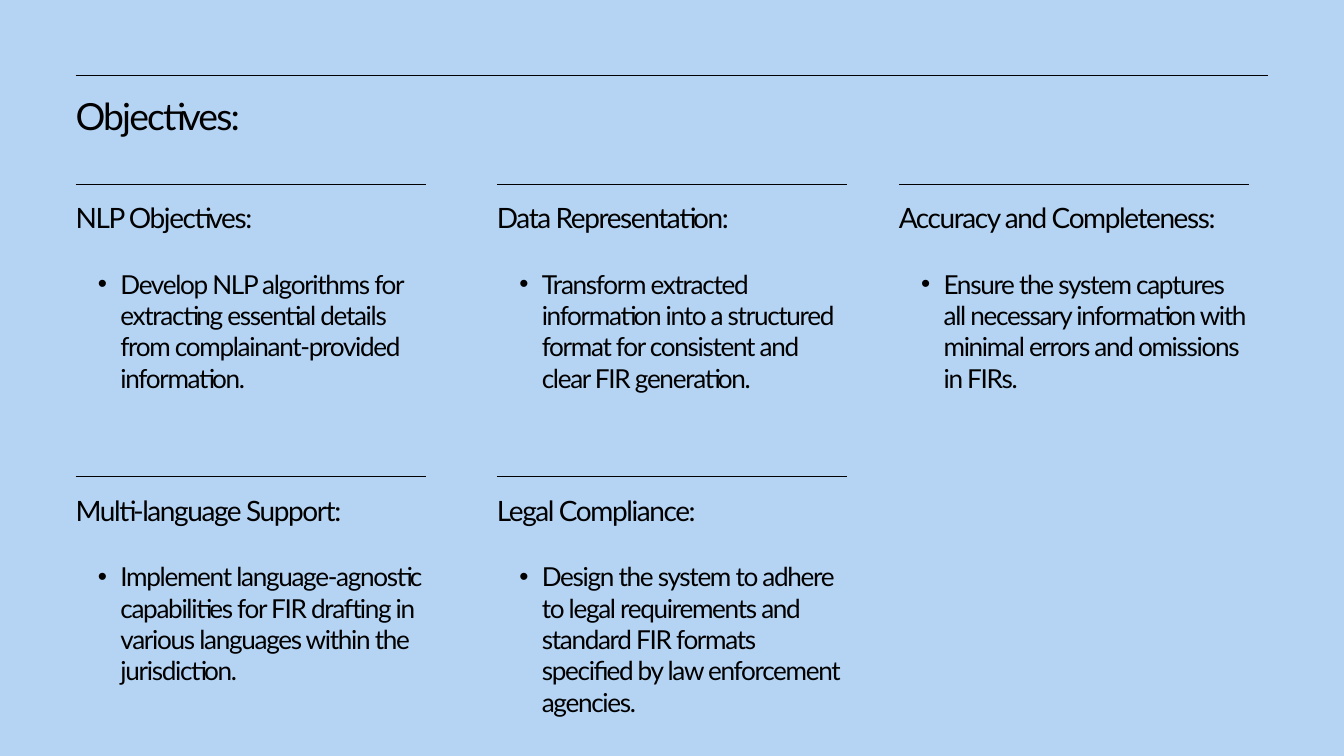
from lxml import etree
from pptx import Presentation
from pptx.dml.color import RGBColor
from pptx.enum.shapes import MSO_CONNECTOR
from pptx.oxml.ns import qn
from pptx.util import Emu, Pt

STRAIGHT = MSO_CONNECTOR.STRAIGHT
SKY = RGBColor(0xB5, 0xD4, 0xF4)
BLACK = RGBColor(0, 0, 0)
FONT = "Lato"

# Layout grid, in px
SLIDE_W, SLIDE_H = 1920, 1080
MARGIN = 108
COLUMNS = (MARGIN, 710, 1284)
ROWS = (263, 681)
CARD_W, CARD_H = 500, 351
RULE_GAP = 24
BULLET_INDENT, BULLET_HANG = 64, 32

# Column, row, heading, text
OBJECTIVES = [
    (0, 0, "NLP Objectives:",
     "Develop NLP algorithms for extracting essential details "
     "from complainant-provided information."),
    (0, 1, "Multi-language Support:",
     "Implement language-agnostic capabilities for FIR drafting "
     "in various languages within the jurisdiction."),
    (1, 0, "Data Representation:",
     "Transform extracted information into a structured format "
     "for consistent and clear FIR generation."),
    (1, 1, "Legal Compliance:",
     "Design the system to adhere to legal requirements and standard "
     "FIR formats specified by law enforcement agencies."),
    (2, 0, "Accuracy and Completeness:",
     "Ensure the system captures all necessary information "
     "with minimal errors and omissions in FIRs."),
]


def px(n):
    return Emu(n * 9525)


def add_rule(slide, left, top, width):
    rule = slide.shapes.add_connector(
        STRAIGHT, px(left), px(top), px(left + width), px(top))
    rule.line.color.rgb = BLACK
    rule.line.width = Pt(0.75)
    etree.SubElement(rule._element.spPr, qn("a:effectLst"))


def add_text_frame(slide, left, top, width, height):
    box = slide.shapes.add_textbox(px(left), px(top), px(width), px(height))
    frame = box.text_frame
    frame.word_wrap = True
    frame.margin_left = frame.margin_top = 0
    frame.margin_right = frame.margin_bottom = 0
    return frame


def write(paragraph, text, size, leading):
    """Fill a paragraph; letters are tightened by 5 % of the size."""
    paragraph.text = text
    paragraph.line_spacing = Pt(leading)
    paragraph.font.name = FONT
    paragraph.font.size = Pt(size)
    paragraph.font.color.rgb = BLACK
    defaults = paragraph._p.pPr.find(qn("a:defRPr"))
    defaults.set("spc", str(-size * 5))


def add_bullet(paragraph):
    props = paragraph._p.pPr
    props.set("marL", str(px(BULLET_INDENT)))
    props.set("indent", str(-px(BULLET_HANG)))
    defaults = props.find(qn("a:defRPr"))
    for tag, key, value in (("a:buFont", "typeface", "Arial"),
                            ("a:buChar", "char", "•")):
        mark = etree.Element(qn(tag))
        mark.set(key, value)
        defaults.addprevious(mark)


def add_title(slide, left, top, width):
    add_rule(slide, left, top, width)
    frame = add_text_frame(slide, left, top + 14, CARD_W, 81)
    write(frame.paragraphs[0], "Objectives:", 40, 56)


def add_objective(slide, left, top, width, height, heading, text):
    add_rule(slide, left, top, width)
    frame = add_text_frame(
        slide, left, top + RULE_GAP, width, height - RULE_GAP)
    write(frame.paragraphs[0], heading, 30, 36)
    detail = frame.add_paragraph()
    write(detail, text, 28, 33.6)
    detail.space_before = Pt(36)
    add_bullet(detail)


def main():
    deck = Presentation()
    deck.slide_width, deck.slide_height = px(SLIDE_W), px(SLIDE_H)
    slide = deck.slides.add_slide(deck.slide_layouts[6])
    slide.background.fill.solid()
    slide.background.fill.fore_color.rgb = SKY

    # Title under the full-width rule
    add_title(slide, MARGIN, MARGIN, SLIDE_W - 2 * MARGIN)

    # Grid of objectives
    for column, row, heading, text in OBJECTIVES:
        add_objective(slide, COLUMNS[column], ROWS[row], CARD_W, CARD_H,
                      heading, text)

    deck.save("out.pptx")


if __name__ == "__main__":
    main()
